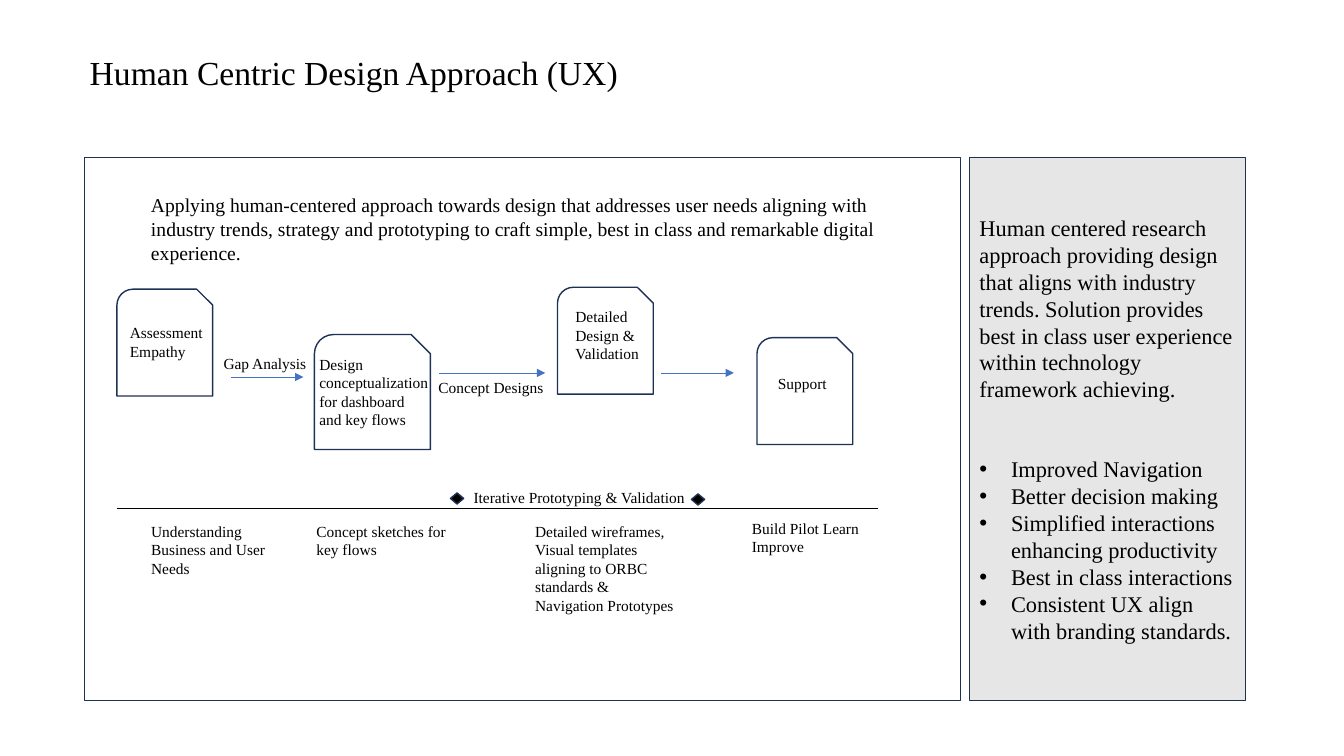
from lxml import etree
from pptx import Presentation
from pptx.dml.color import RGBColor
from pptx.enum.shapes import MSO_CONNECTOR as Line, MSO_SHAPE as Preset
from pptx.enum.text import MSO_ANCHOR as Anchor, MSO_AUTO_SIZE as AutoSize, PP_ALIGN as Align
from pptx.oxml.ns import qn
from pptx.util import Pt

BLACK = RGBColor(0, 0, 0)
NAVY = RGBColor(0x1E, 0x32, 0x56)
BLUE = RGBColor(0x44, 0x72, 0xC4)
GREY = RGBColor(0xE7, 0xE6, 0xE6)
FONT = "Times New Roman"

prs = Presentation()
prs.slide_width, prs.slide_height = Pt(960), Pt(540)
slide = prs.slides.add_slide(prs.slide_layouts[5])
shapes = slide.shapes


def write(frame, size, *texts):
    """Fill a text frame with left-aligned black paragraphs."""
    frame.text = "\n".join(texts)
    for paragraph in frame.paragraphs:
        paragraph.alignment = Align.LEFT
        paragraph.font.name = FONT
        paragraph.font.size = Pt(size)
        paragraph.font.color.rgb = BLACK


def outlined(preset, left, top, width, height, fill=None):
    """Add a navy-edged shape, unfilled unless a colour is given."""
    shape = shapes.add_shape(preset, Pt(left), Pt(top), Pt(width), Pt(height))
    shape.shadow.inherit = False
    shape.line.color.rgb = NAVY
    shape.line.width = Pt(1)
    if fill is None:
        shape.fill.background()
    else:
        shape.fill.solid()
        shape.fill.fore_color.rgb = fill
    return shape


# Title
title = shapes.title
title.left, title.top, title.width, title.height = Pt(56.9), Pt(36.7), Pt(828), Pt(45.4)
write(title.text_frame, 24, "Human Centric Design Approach (UX)")
title.text_frame.vertical_anchor = Anchor.TOP
title.text_frame.auto_size = AutoSize.NONE
title.text_frame.paragraphs[0].line_spacing = 0.9

# Process panel with its four step cards
PANEL_TOP, PANEL_HEIGHT = 112.3, 388.1
outlined(Preset.RECTANGLE, 60.5, PANEL_TOP, 625.7, PANEL_HEIGHT)
for left, top, width, height in [
    (83.5, 206.6, 68.4, 76.3),
    (224.6, 239, 82.8, 82.1),
    (398.2, 205.2, 68.4, 76.3),
    (540.7, 241.2, 68.4, 76.3),
]:
    outlined(Preset.SNIP_ROUND_RECTANGLE, left, top, width, height)

# Arrows between steps, then the timeline rule
for start, end, y, color, has_head in [
    (164.9, 216.7, 269.3, BLUE, True),
    (313.9, 389.5, 266.4, BLUE, True),
    (472.3, 524.2, 266.4, BLUE, True),
    (83.5, 627.1, 362.9, BLACK, False),
]:
    connector = shapes.add_connector(Line.STRAIGHT, Pt(start), Pt(y), Pt(end), Pt(y))
    connector.line.color.rgb = color
    connector.line.width = Pt(0.5)
    if has_head:
        etree.SubElement(connector.line._get_or_add_ln(), qn("a:tailEnd"), type="triangle")
    etree.SubElement(connector._element.spPr, qn("a:effectLst"))

# Markers on either side of the iteration label
for left, top in [(321.8, 352.1), (493.9, 352.8)]:
    outlined(Preset.FLOWCHART_DECISION, left, top, 9.4, 7.9, BLACK)

# Introduction, step names, arrow labels and outcomes
for left, top, width, height, size, wrap, text in [
    (100.8, 134.6, 556.6, 58.3, 14, True,
     "Applying human-centered approach towards design that addresses user needs "
     "aligning with industry trends, strategy and prototyping to craft simple, "
     "best in class and remarkable digital experience."),
    (85.7, 227.5, 67.7, 33.8, 11, True, "Assessment Empathy"),
    (221, 249.8, 92.9, 60.5, 11, True,
     "Design conceptualization for dashboard and key flows"),
    (403.9, 216, 74.2, 47.5, 11, True, "Detailed Design & Validation"),
    (548.6, 263.5, 74.2, 20.9, 11, True, "Support"),
    (152.6, 249.1, 74.9, 20.9, 11, False, "Gap Analysis"),
    (306, 266.4, 90, 20.9, 11, False, "Concept Designs"),
    (331.2, 344.9, 167, 20.9, 11, False, "Iterative Prototyping & Validation"),
    (100.8, 369.4, 115.9, 47.5, 11, True, "Understanding Business and User Needs"),
    (218.9, 369.4, 115.9, 33.8, 11, True, "Concept sketches for key flows"),
    (375.1, 369.4, 115.9, 74.2, 11, True,
     "Detailed wireframes, Visual templates aligning to ORBC standards & "
     "Navigation Prototypes"),
    (529.9, 367.2, 115.9, 33.8, 11, True, "Build Pilot Learn Improve"),
]:
    label = shapes.add_textbox(Pt(left), Pt(top), Pt(width), Pt(height)).text_frame
    write(label, size, text)
    label.word_wrap = wrap

# Benefits sidebar
sidebar = outlined(Preset.RECTANGLE, 692.6, PANEL_TOP, 197.3, PANEL_HEIGHT, GREY).text_frame
sidebar.word_wrap = True
sidebar.vertical_anchor = Anchor.MIDDLE
write(
    sidebar, 16,
    "Human centered research approach providing design that aligns with industry "
    "trends. Solution provides best in class user experience within technology "
    "framework achieving.",
    "Improved Navigation",
    "Better decision making",
    "Simplified interactions enhancing productivity",
    "Best in class interactions",
    "Consistent UX align with branding standards.",
)
summary, *benefits = sidebar.paragraphs
summary.space_after = Pt(38)
for benefit in benefits:
    properties = benefit._p.get_or_add_pPr()
    properties.set("marL", str(Pt(22.5)))
    properties.set("indent", str(-Pt(22.5)))
    bullet_font = etree.Element(qn("a:buFont"), typeface="Arial")
    bullet = etree.Element(qn("a:buChar"), char="•")
    properties.insert(0, bullet_font)
    properties.insert(1, bullet)

prs.save("out.pptx")
